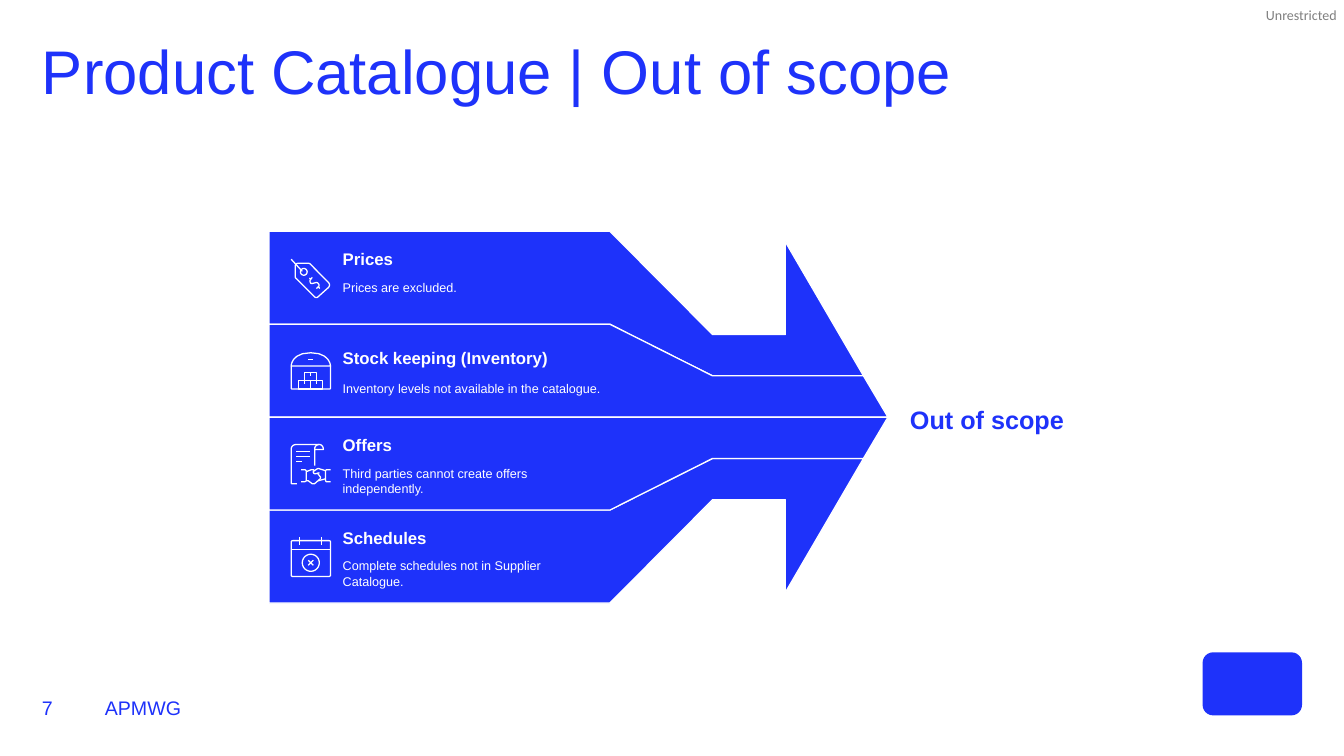
import math

from pptx import Presentation
from pptx.dml.color import RGBColor
from pptx.enum import shapes, text
from pptx.util import Pt

BLUE, WHITE, GREY = "1E32FA", "FFFFFF", "7F7F7F"
MIDDLE = 298  # height of the arrow's axis
ICON_LEFT, LABEL_LEFT = 208, 244.8


def colour(hex_string):
    return RGBColor.from_string(hex_string)


def write(frame, words, size, hex_string, bold=False, font="Arial",
          anchor=text.MSO_ANCHOR.TOP):
    """Fill a frame without margins; each newline becomes a line break."""
    frame.margin_left = frame.margin_right = 0
    frame.margin_top = frame.margin_bottom = 0
    frame.word_wrap = True
    frame.vertical_anchor = anchor
    paragraph = frame.paragraphs[0]
    paragraph.alignment = text.PP_ALIGN.LEFT
    for number, line in enumerate(words.split("\n")):
        if number:
            paragraph.add_line_break()
        run = paragraph.add_run()
        run.text = line
        run.font.name, run.font.size, run.font.bold = font, Pt(size), bold
        run.font.color.rgb = colour(hex_string)
    return paragraph


def label(slide, left, top, width, height, *words, **style):
    box = slide.shapes.add_textbox(Pt(left), Pt(top), Pt(width), Pt(height))
    write(box.text_frame, *words, **style)


def title(slide, words):
    heading = slide.shapes.title
    heading.left, heading.top = Pt(30), Pt(28.8)
    heading.width, heading.height = Pt(900), Pt(48.2)
    paragraph = write(heading.text_frame, words, 44, BLUE,
                      anchor=text.MSO_ANCHOR.BOTTOM)
    paragraph.line_spacing = 0.9


def flatten(stroke, steps=6):
    """Turn a stroke of points and cubic curves (six numbers) into points."""
    points = []
    for part in stroke:
        if len(part) == 2:
            points.append(part)
            continue
        nodes = [points[-1], part[:2], part[2:4], part[4:]]
        for step in range(1, steps + 1):
            t = step / steps
            weights = [math.comb(3, i) * t**i * (1 - t)**(3 - i) for i in range(4)]
            points.append(tuple(sum(w * node[axis] for w, node in zip(weights, nodes))
                                for axis in (0, 1)))
    return points


def outline(slide, strokes, left=0, top=0, fill=None, close=False):
    """Draw white-lined strokes as one shape."""
    builder = None
    for stroke in strokes:
        first, *rest = [(Pt(left + x), Pt(top + y)) for x, y in flatten(stroke)]
        if builder is None:
            builder = slide.shapes.build_freeform(*first)
        else:
            builder.move_to(*first)
        builder.add_line_segments(rest, close=close)
    shape = builder.convert_to_shape()
    shape.shadow.inherit = False
    shape.line.color.rgb = colour(WHITE)
    shape.line.width = Pt(0.92)
    if fill:
        shape.fill.solid()
        shape.fill.fore_color.rgb = colour(fill)
    else:
        shape.fill.background()


def ring(x, y, radius):
    turns = [math.tau * i / 24 for i in range(25)]
    return [(x + radius * math.cos(a), y + radius * math.sin(a)) for a in turns]


def crate(left, top, right, bottom):
    return [(left, top), (right, top), (right, bottom), (left, bottom), (left, top)]


def arrow(slide):
    """Four bands, mirrored about the axis, that join into one arrow."""
    outer = [(435.6, 66.4), (509, 29.5), (616.8, 29.5), (561, 125.2), (561, 59),
             (509, 59), (435.6, 132.8), (192.2, 132.8), (192.2, 66.4)]
    inner = [(192.2, 0), (634.3, 0), (616.8, 29.5), (509, 29.5),
             (435.6, 66.4), (192.2, 66.4)]
    for band in (outer, inner):
        for side in (-1, 1):
            outline(slide, [[(x, MIDDLE + side * y) for x, y in band]],
                    fill=BLUE, close=True)


PRICE_TAG = [
    [(26.6, 20.2), (19.4, 26.6), (18.7, 27.6, 17.3, 27.6, 16.4, 26.6), (3.6, 13.7),
     (2.9, 13.5, 2.9, 12.6, 2.9, 12.2), (2.9, 5), (2.9, 3.6, 3.6, 2.9, 5, 2.9),
     (12.2, 2.9), (13, 2.9, 13.4, 3.2, 13.8, 3.6), (26.6, 16.6),
     (27.6, 17.6, 27.6, 19, 26.6, 20.2)],
    ring(9, 9, 2.4),
    [(0, 0), (7.9, 8.6)],
    [(15.1, 13), (13.7, 14.4), (13.5, 15.1, 13.2, 15.8, 13.7, 16.6),
     (13.9, 17.3, 14.4, 17.4, 15.1, 17.3), (18, 16.6),
     (18.7, 16.6, 19.4, 17.1, 19.6, 17.8), (20, 18.2, 20, 19.2, 19.4, 19.6),
     (18, 20.9)],
    [(13, 13.5), (14.4, 14.4)],
    [(19.4, 19.6), (20.4, 20.9)],
]
WAREHOUSE = [
    crate(13.9, 20, 22.5, 25.9), crate(5.2, 20, 13.9, 25.9), crate(9.5, 13.9, 18.2, 20),
    [(18.2, 20), (18.2, 22.3)], [(9.5, 20), (9.5, 22.3)], [(13.9, 13.9), (13.9, 16.6)],
    [(12.2, 5), (15.8, 5)],
    [(0, 9.4), (0, 25.2), (0, 25.6, 0.3, 25.9, 0.7, 25.9), (27.4, 25.9),
     (27.8, 25.9, 28.1, 25.6, 28.1, 25.2), (28.1, 9.4)],
    [(28.1, 9.4), (0, 9.4), (0, 9.4, 0, 0, 14, 0), (27.8, 0, 28.1, 9.4, 28.1, 9.4)],
]
AGREEMENT = [
    [(24.5, 24.5), (19.4, 25.9)],
    [(20.2, 20.2), (17.3, 20.9), (16.6, 20.9, 15.8, 20.6, 15.8, 19.6),
     (15.8, 19.4, 16, 19, 16.6, 18.7), (18.7, 17.3), (19.4, 17.1), (24.5, 18.7)],
    [(10.8, 25.9), (12.2, 25.9), (15.1, 28.1), (16.6, 28.1), (20.7, 24.5),
     (21, 24, 21, 23.4, 20.7, 23), (18.7, 20.4)],
    [(16.6, 18.7), (15.8, 18), (14.4, 18), (10.8, 19.4)],
    [(7.2, 18), (9.4, 18), (10.2, 18, 10.8, 18.6, 10.8, 19.4), (10.8, 25.5),
     (10.8, 26.1, 10.2, 26.6, 9.4, 26.6), (7.2, 26.6)],
    [(28.1, 26.6), (25.4, 26.6), (24.9, 26.6, 24.5, 26.1, 24.5, 25.5), (24.5, 19.4),
     (24.5, 18.6, 24.9, 18, 25.4, 18), (28.1, 18)],
    [(20.2, 0), (3.6, 0), (1.4, 0, 0, 1.4, 0, 3.6), (0, 27.4),
     (0, 27.8, 0.3, 28.1, 0.7, 28.1), (4, 28.1)],
    [(13.3, 5), (3.6, 5)], [(13.3, 8.6), (3.6, 8.6)], [(7.9, 12.2), (3.6, 12.2)],
    [(16.8, 15.1), (16.8, 3.2), (16.8, 1.4, 18, 0, 20.2, 0),
     (21.6, 0, 23, 1.4, 23, 3.6), (16.8, 3.6)],
]
CALENDAR = [
    [(1, 2.4), (27.1, 2.4), (27.6, 2.4, 28.1, 2.8, 28.1, 3.4), (28.1, 27),
     (28.1, 27.5, 27.6, 28, 27.1, 28), (1, 28), (0.5, 28, 0, 27.5, 0, 27), (0, 3.4),
     (0, 2.8, 0.5, 2.4, 1, 2.4)],
    [(6.1, 0), (6.1, 5.8)], [(21.6, 0), (21.6, 5.8)], [(0, 8.5), (28.1, 8.5)],
    ring(14, 18.2, 6.1),
    [(15.8, 16.4), (12.2, 20)], [(12.2, 16.4), (15.8, 20)],
]
EXCLUSIONS = [  # heading, heading top, detail, detail top, icon, icon top
    ("Prices", 178, "Prices are excluded.", 200.2, PRICE_TAG, 185.2),
    ("Stock keeping (Inventory)", 248.4,
     "Inventory levels not available in the catalogue.", 271.8, WAREHOUSE, 252),
    ("Offers", 310.4, "Third parties cannot create offers\nindependently.", 332.8,
     AGREEMENT, 317.5),
    ("Schedules", 377, "Complete schedules not in Supplier\nCatalogue.", 398.8,
     CALENDAR, 383.8),
]


def main():
    deck = Presentation()
    deck.slide_width, deck.slide_height = Pt(960), Pt(540)
    slide = deck.slides.add_slide(deck.slide_layouts[5])

    title(slide, "Product Catalogue | Out of scope")
    label(slide, 904.3, 5, 55, 12.2, "Unrestricted", 10, GREY, font="Calibri")
    for left, width, words in ((74.9, 389.5, "APMWG"), (30, 36, "7")):
        label(slide, left, 485.3, width, 28.8, words, 14, BLUE,
              anchor=text.MSO_ANCHOR.BOTTOM)

    emblem = slide.shapes.add_shape(shapes.MSO_SHAPE.ROUNDED_RECTANGLE,
                                    Pt(859), Pt(466), Pt(71), Pt(45))
    emblem.shadow.inherit = False
    emblem.fill.solid()
    emblem.fill.fore_color.rgb = colour(BLUE)
    emblem.line.fill.background()

    arrow(slide)
    for heading, heading_top, detail, detail_top, icon, icon_top in EXCLUSIONS:
        label(slide, LABEL_LEFT, heading_top, 200, 14.4, heading, 12, WHITE, bold=True)
        label(slide, LABEL_LEFT, detail_top, 200, 10.8 * (1 + detail.count("\n")),
              detail, 9, WHITE)
        outline(slide, icon, ICON_LEFT, icon_top)
    label(slide, 650, 289, 130, 21.6, "Out of scope", 18, BLUE, bold=True)

    deck.save("out.pptx")


if __name__ == "__main__":
    main()
